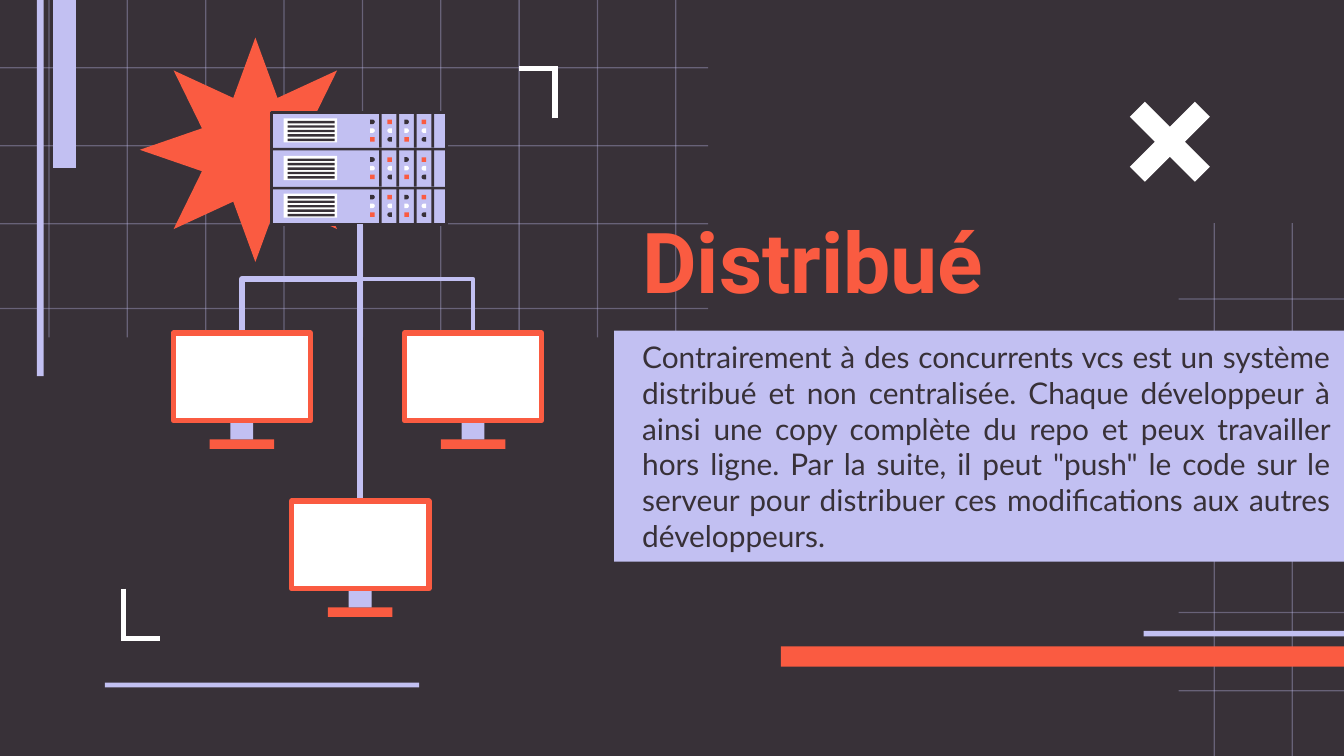
from dataclasses import dataclass
from typing import NamedTuple

import pptx
import pptx.dml.color
import pptx.enum.shapes
import pptx.enum.text
import pptx.oxml
import pptx.oxml.ns
import pptx.util
from lxml import etree

SHAPE = pptx.enum.shapes.MSO_SHAPE
CONNECTOR = pptx.enum.shapes.MSO_CONNECTOR
ALIGN = pptx.enum.text.PP_ALIGN

# All lengths are in square grid cells: 100 columns by 56.25 rows.
COLS, ROWS = 100, 56.25
CELL = pptx.util.Inches(10) // COLS


@dataclass(frozen=True)
class Theme:
    dark: str = "383138"
    lilac: str = "C2C0F2"
    coral: str = "FA5B41"
    white: str = "FFFFFF"
    title_font: str = "Roboto"
    body_font: str = "Lato"
    title_size: float = 45
    body_size: float = 16
    thick: float = 3
    medium: float = 2.25
    thin: float = 1.5
    grid_alpha: int = 35


T = Theme()


class Box(NamedTuple):
    x: float
    y: float
    w: float
    h: float


class Grid(NamedTuple):
    area: Box
    xs: list[float]
    ys: list[float]


class Bar(NamedTuple):
    box: Box
    color: str


class Light(NamedTuple):
    kind: int
    color: str


GRID_STEP = 5.83
GRIDS = [
    Grid(Box(87.7, 16.6, 12.3, 39.65), [90.3, 96.1],
         [22.2 + GRID_STEP * i for i in range(6)]),
    Grid(Box(0, 0, 52.7, 25.1), [3.6 + GRID_STEP * i for i in range(9)],
         [5, 10.8, 16.6, 22.9]),
]
BARS = [
    Bar(Box(58.1, 48.1, 41.9, 1.5), T.coral),
    Bar(Box(85.1, 46.95, 14.9, 0.4), T.lilac),
    Bar(Box(7.8, 50.8, 23.4, 0.35), T.lilac),
    Bar(Box(3.95, 0, 1.7, 12.5), T.lilac),
    Bar(Box(2.75, 0, 0.5, 28), T.lilac),
    Bar(Box(45.7, 24.6, 54.3, 17.2), T.lilac),
]
CORNERS = [
    (41.3, 8.8, 41.3, 5.1), (41.5, 5.1, 38.6, 5.1),
    (9.2, 43.8, 9.2, 47.5), (9, 47.5, 11.9, 47.5),
]
SERVER = Box(20.2, 8.4, 13, 8.3)
BAYS = [(8.4, 2.6), (11.1, 2.8), (14, 2.6)]
BAY_STEP = 2.8
LIGHTS = [Light(SHAPE.FLOWCHART_DELAY, T.dark),
          Light(SHAPE.FLOWCHART_DELAY, T.white),
          Light(SHAPE.RECTANGLE, T.coral)]
HUB = (26.8, 16.7)
SCREEN_W, SCREEN_H = 10.2, 6.5
SCREENS = [(12.9, 24.8), (30.1, 24.8), (21.7, 37.3)]


def emu(cells: float) -> int:
    return round(cells * CELL)


def rgb(color: str) -> pptx.dml.color.RGBColor:
    return pptx.dml.color.RGBColor.from_string(color)


def shape(s, box: Box, color: str, kind=SHAPE.RECTANGLE, *, line: str = "",
          width: float = 0, rotation: float = 0, adj: float | None = None,
          alpha: int = 100):
    sp = s.shapes.add_shape(kind, *map(emu, box))
    sp.shadow.inherit = False
    sp.rotation = rotation
    sp.fill.solid()
    sp.fill.fore_color.rgb = rgb(color)
    if alpha < 100:
        clr = sp._element.spPr.find(".//" + pptx.oxml.ns.qn("a:srgbClr"))
        etree.SubElement(clr, pptx.oxml.ns.qn("a:alpha"), val=str(alpha * 1000))
    if line:
        sp.line.color.rgb = rgb(line)
        sp.line.width = pptx.util.Pt(width)
    else:
        sp.line.fill.background()
    if adj is not None:
        sp.adjustments[0] = adj
    return sp


def connector(s, x1: float, y1: float, x2: float, y2: float, color: str,
              width: float, kind=CONNECTOR.STRAIGHT):
    c = s.shapes.add_connector(kind, *map(emu, (x1, y1, x2, y2)))
    c.line.color.rgb = rgb(color)
    c.line.width = pptx.util.Pt(width)
    etree.SubElement(c._element.spPr, pptx.oxml.ns.qn("a:effectLst"))
    return c


def cable(s, x2: float, y2: float, width: float) -> None:
    """Elbow leaving the hub downwards: a sideways elbow turned a quarter."""
    x1, y1 = HUB
    cx, cy = (x1 + x2) / 2, (y1 + y2) / 2
    left = x2 < x1
    dx = (y2 - y1) / 2 * (1 if left else -1)
    dy = abs(x2 - x1) / 2
    c = connector(s, cx - dx, cy - dy, cx + dx, cy + dy, T.lilac, width,
                  CONNECTOR.ELBOW)
    c._element.spPr.xfrm.set("rot", str((90 if left else 270) * 60000))


def text(s, box: Box, words: str, *, font: str, size: float, color: str,
         bold: bool = False, align=ALIGN.LEFT) -> None:
    tf = s.shapes.add_textbox(*map(emu, box)).text_frame
    tf.word_wrap = True
    tf.vertical_anchor = pptx.enum.text.MSO_ANCHOR.MIDDLE
    tf.margin_left = tf.margin_right = emu(1)
    tf.margin_top = tf.margin_bottom = emu(1)
    p = tf.paragraphs[0]
    p.alignment = align
    r = p.add_run()
    r.text = words
    r.font.name, r.font.size, r.font.bold = font, pptx.util.Pt(size), bold
    r.font.color.rgb = rgb(color)


def grid(s, g: Grid) -> None:
    a = g.area
    for box in ([Box(a.x, y, a.w, 0.1) for y in g.ys]
                + [Box(x, a.y, 0.1, a.h) for x in g.xs]):
        shape(s, box, T.lilac, alpha=T.grid_alpha)


def server(s) -> None:
    shape(s, SERVER, T.lilac, line=T.dark, width=T.thin)
    for y in (11, 13.9):
        shape(s, Box(20.3, y, 13, 0.2), T.dark)
    for i, (top, height) in enumerate(BAYS):
        y = 8.8 + BAY_STEP * i
        shape(s, Box(21.1, y, 4, 1.8), T.white)
        for k in range(5):
            shape(s, Box(21.4, y + 0.2 + 0.33 * k, 3.5, 0.18), T.dark)
        for col in range(4):
            shape(s, Box(28.2 + 1.3 * col, top, 0.2, height), T.dark)
            turned = col % 2 == 1
            for row, light in enumerate(LIGHTS[::-1] if turned else LIGHTS):
                shape(s, Box(27.55 + 1.27 * col, y + 0.1 + 0.65 * row, 0.34, 0.34),
                      light.color, light.kind, rotation=180 if turned else 0)


def computer(s, x: float, y: float) -> None:
    mid, foot = x + SCREEN_W / 2, y + SCREEN_H
    shape(s, Box(mid - 2.4, foot + 1.4, 4.8, 0.7), T.coral)
    shape(s, Box(mid - 0.85, foot, 1.7, 1.4), T.lilac)
    shape(s, Box(x, y, SCREEN_W, SCREEN_H), T.white, line=T.coral, width=T.thick)


def main() -> None:
    prs = pptx.Presentation()
    prs.slide_width, prs.slide_height = emu(COLS), emu(ROWS)
    s = prs.slides.add_slide(prs.slide_layouts[6])
    s.background.fill.solid()
    s.background.fill.fore_color.rgb = rgb(T.dark)

    for g in GRIDS:
        grid(s, g)
    for bar in BARS:
        shape(s, bar.box, bar.color)
    shape(s, Box(82.4, 5.9, 9.3, 9.3), T.white, SHAPE.MATH_MULTIPLY, adj=0.17)
    text(s, Box(46.8, 15.2, 42.5, 8.3), "Distribué", font=T.title_font,
         size=T.title_size, color=T.coral, bold=True)
    text(s, Box(46.8, 25.7, 53.2, 15),
         "Contrairement à des concurrents vcs est un système distribué et non "
         "centralisée. Chaque développeur à ainsi une copy complète du repo et "
         "peux travailler hors ligne. Par la suite, il peut \"push\" le code sur "
         "le serveur pour distribuer ces modifications aux autres développeurs.",
         font=T.body_font, size=T.body_size, color=T.dark, align=ALIGN.JUSTIFY)
    for ends in CORNERS:
        connector(s, *ends, T.white, T.thick)

    shape(s, Box(10.4, 2.8, 17.2, 16.7), T.coral, SHAPE.STAR_8_POINT, adj=0.25)
    cable(s, 18, 24.8, T.thick)
    cable(s, 35.2, 24.8, T.medium)
    server(s)
    cable(s, 26.8, 37.3, T.thick)
    for x, y in SCREENS:
        computer(s, x, y)
    prs.save("out.pptx")


if __name__ == "__main__":
    main()
